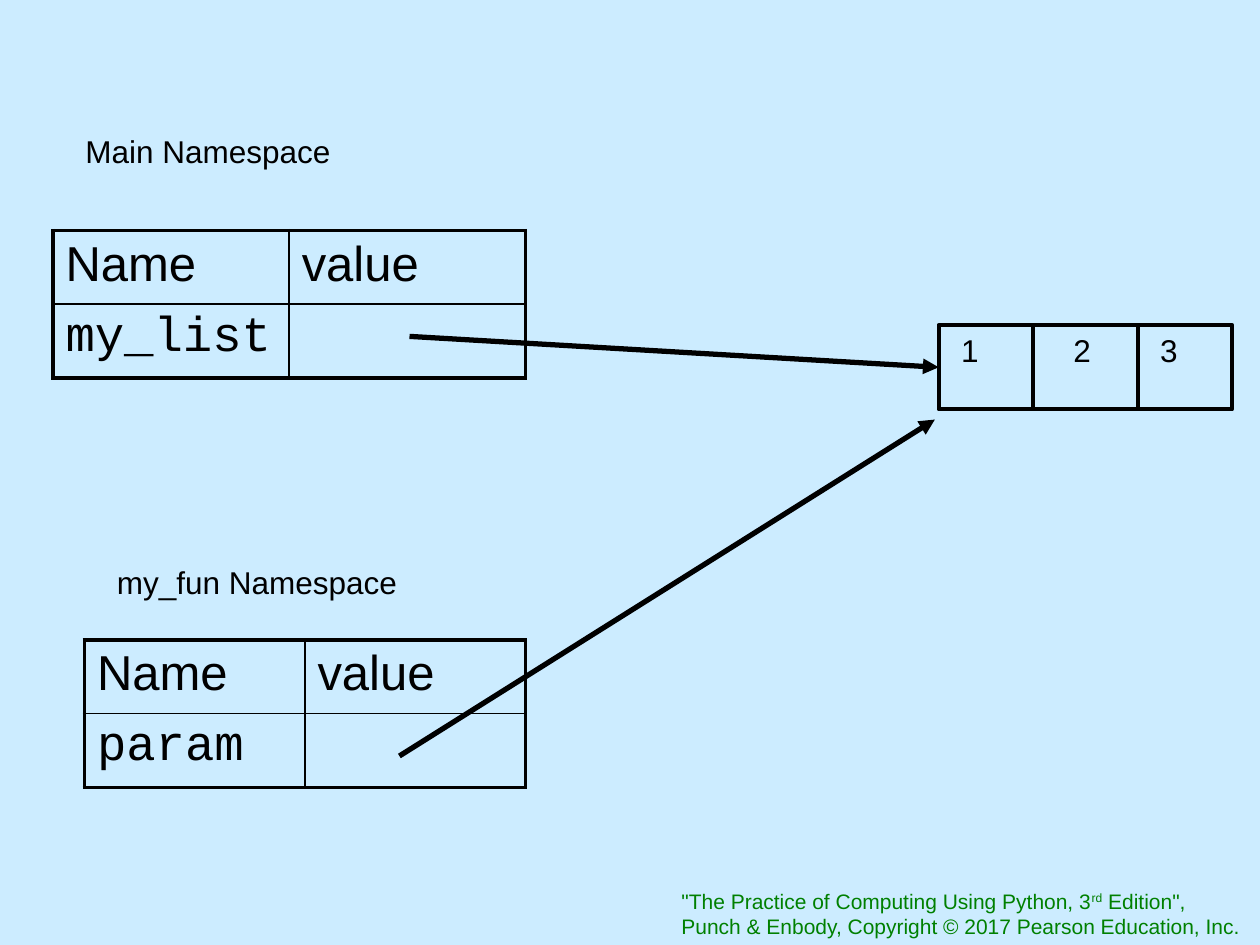
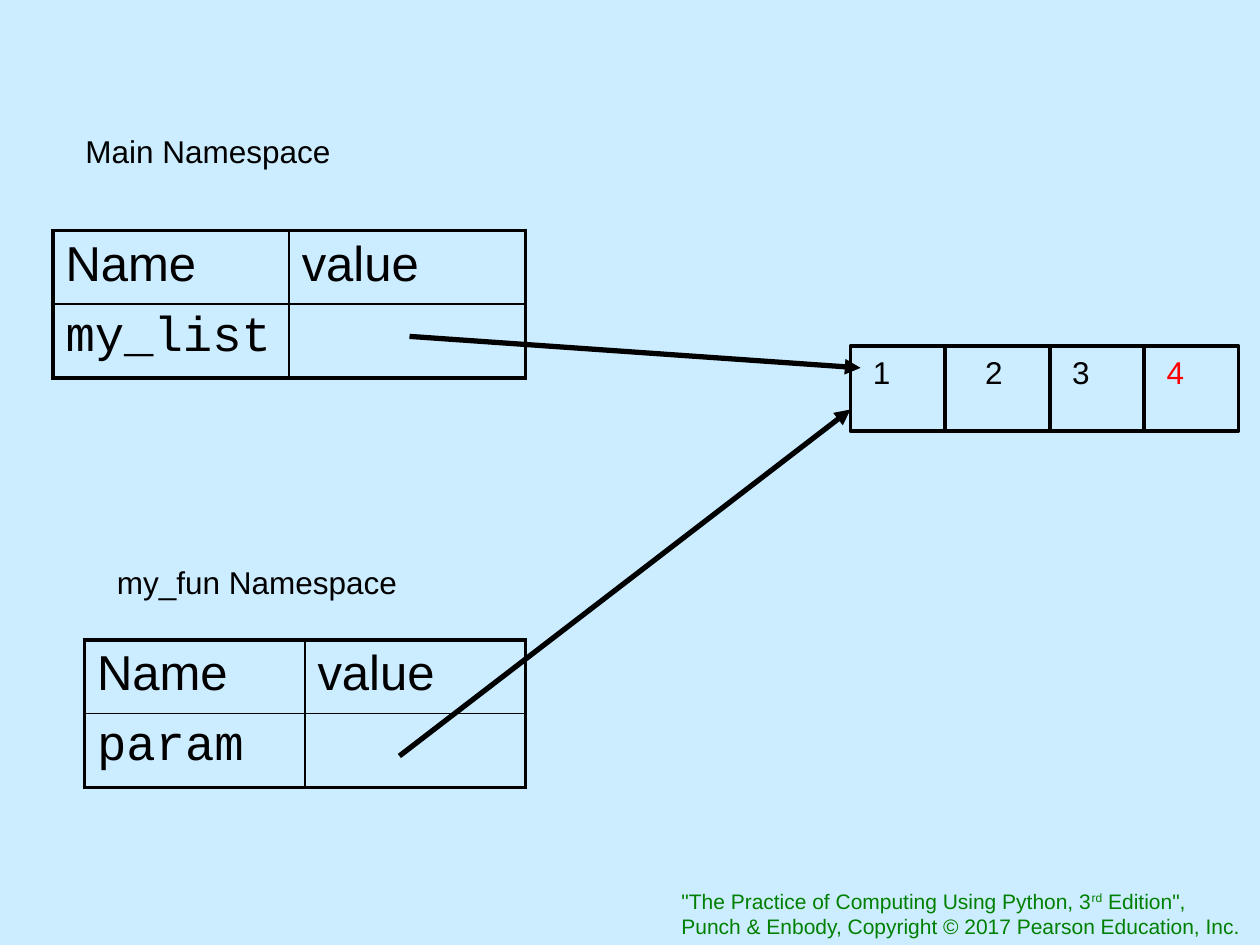
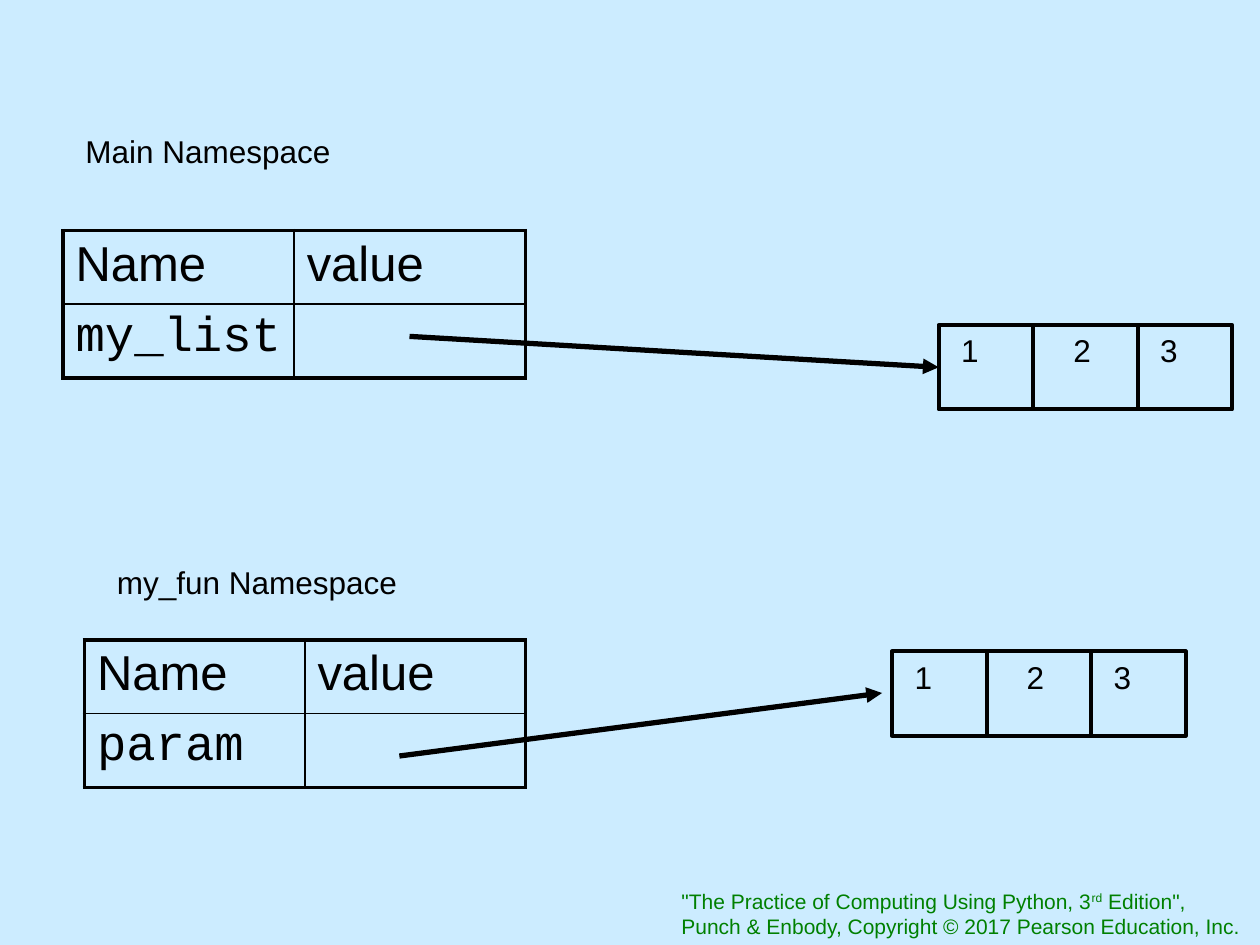
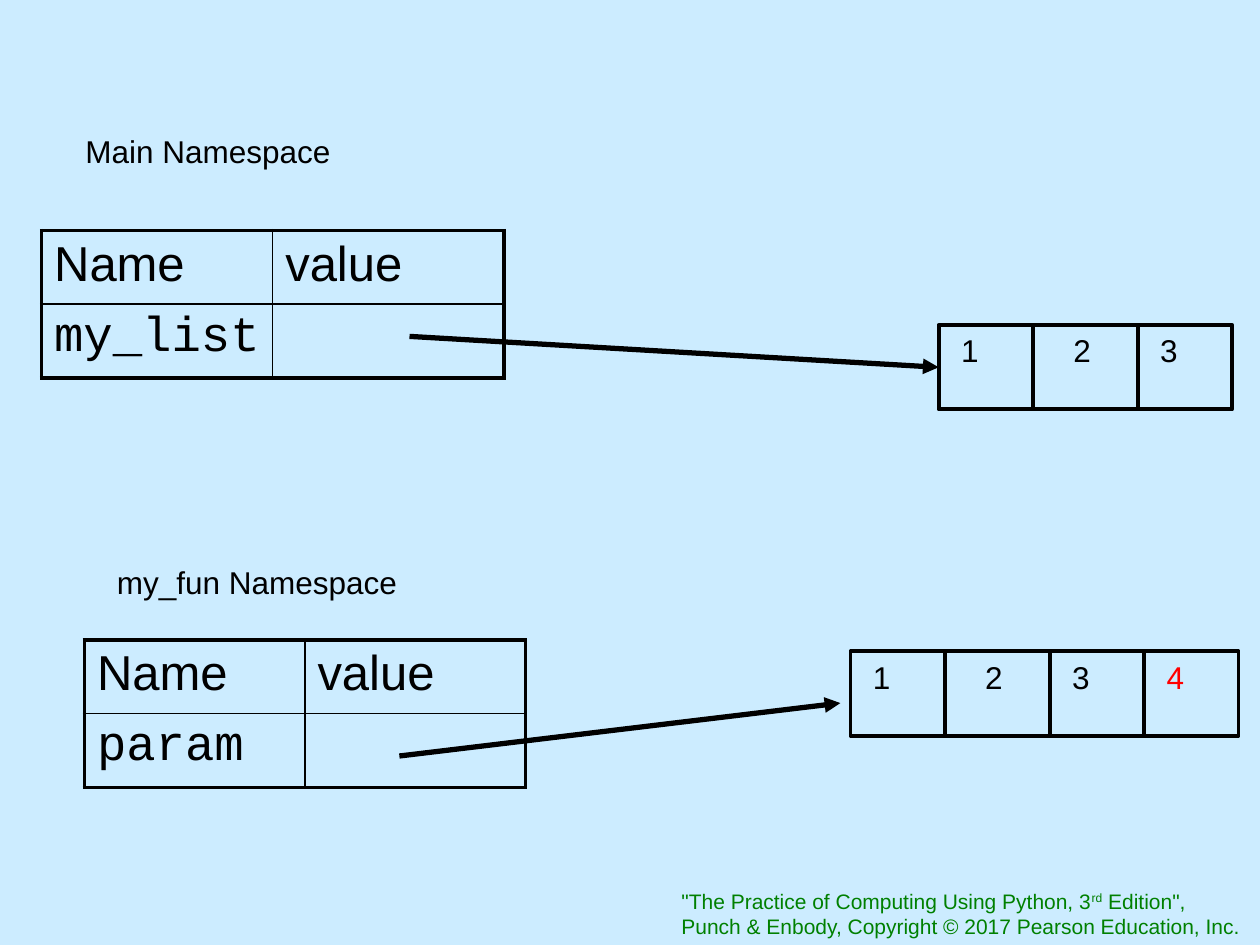
from typing import NamedTuple

from lxml import etree
from pptx import Presentation
from pptx.dml.color import RGBColor
from pptx.enum.shapes import MSO_CONNECTOR, MSO_SHAPE
from pptx.enum.text import MSO_AUTO_SIZE
from pptx.oxml.ns import qn
from pptx.util import Inches, Pt

STRAIGHT = MSO_CONNECTOR.STRAIGHT
RECTANGLE = MSO_SHAPE.RECTANGLE
GROW = MSO_AUTO_SIZE.SHAPE_TO_FIT_TEXT

SKY, INK, GREEN, RED = "CCECFF", "000000", "008000", "FF0000"
SANS, MONO = "Arial", "Courier New"
THICK, THIN, ARROW = 2.25, 1, 3
LEFT_SIDE = 1

# List boxes: width of each cell, and how far its value is set in
LIST_HEIGHT = 0.67
CELL_WIDTHS = (0.75, 0.83, 0.75, 0.75)
VALUE_INSETS = (0.08, 0.22, 0.08, 0.08)
TABLE_HEIGHT = 1.17


class Point(NamedTuple):
    x: float
    y: float


class Box(NamedTuple):
    left: float
    top: float
    width: float
    height: float


class Namespace(NamedTuple):
    label: str
    label_box: Box
    variable: str
    table_left: float
    table_top: float
    table_width: float
    arrow_start: Point


class ListBox(NamedTuple):
    left: float
    top: float
    values: str


class Scene(NamedTuple):
    main_left: float
    main_width: float
    lists: tuple[ListBox, ...]
    main_arrow_end: Point | None  # None: middle of the first list's left side
    param_arrow_end: Point


SHARED_LIST = ListBox(7.45, 2.58, "123")
SCENES = (
    Scene(0.42, 3.75, (SHARED_LIST,), None, Point(7.42, 3.33)),
    Scene(0.42, 3.75, (ListBox(6.75, 2.75, "1234"),), Point(6.83, 2.92), Point(6.75, 3.25)),
    Scene(0.5, 3.67, (SHARED_LIST, ListBox(7.08, 5.17, "123")), None, Point(7, 5.5)),
    Scene(0.33, 3.67, (SHARED_LIST, ListBox(6.75, 5.17, "1234")), None, Point(6.67, 5.58)),
)
MY_FUN = Namespace("my_fun Namespace", Box(0.83, 4.42, 2.45, 0.4), "param",
                   0.67, 5.08, 3.5, Point(3.17, 6))


def rgb(color: str) -> RGBColor:
    return RGBColor.from_string(color)


def inches(lengths) -> list[int]:
    return [Inches(length) for length in lengths]


def add_run(paragraph, text: str, *, size: float = 18, font: str = SANS,
            color: str = INK, baseline: int = 0) -> None:
    run = paragraph.add_run()
    run.text = text
    run.font.size = Pt(size)
    run.font.name = font
    run.font.color.rgb = rgb(color)
    if baseline:
        run.font._element.set("baseline", str(baseline * 1000))


def add_text_frame(slide, box: Box):
    """Add an unwrapped text box; return it for filling."""
    text_box = slide.shapes.add_textbox(*inches(box))
    text_box.text_frame.word_wrap = False
    text_box.text_frame.auto_size = GROW
    return text_box


def add_text(slide, box: Box, text: str, **text_format) -> None:
    add_run(add_text_frame(slide, box).text_frame.paragraphs[0], text, **text_format)


def add_line(slide, start: Point, end: Point, width: float, arrow: bool = False):
    line = slide.shapes.add_connector(STRAIGHT, *inches(start + end))
    line.line.color.rgb = rgb(INK)
    line.line.width = Pt(width)
    properties = line._element.spPr
    if arrow:
        etree.SubElement(properties.find(qn("a:ln")), qn("a:tailEnd"), type="triangle")
    etree.SubElement(properties, qn("a:effectLst"))
    return line


def set_borders(cell, widths: dict[str, float]) -> None:
    properties = cell._tc.get_or_add_tcPr()
    for side, width in widths.items():
        border = etree.SubElement(properties, qn(f"a:ln{side}"), w=str(Pt(width)))
        fill = etree.SubElement(border, qn("a:solidFill"))
        etree.SubElement(fill, qn("a:srgbClr"), val=INK)


def add_namespace(slide, namespace: Namespace) -> None:
    """Draw a label and its two-by-two table of names and values."""
    add_text(slide, namespace.label_box, namespace.label)
    frame = Box(namespace.table_left, namespace.table_top, namespace.table_width, TABLE_HEIGHT)
    table = slide.shapes.add_table(2, 2, *inches(frame)).table
    table.first_row = table.horz_banding = False
    rows = (("Name", "value"), (namespace.variable, ""))
    for r, row in enumerate(rows):
        for c, text in enumerate(row):
            cell = table.cell(r, c)
            if text:
                add_run(cell.text_frame.paragraphs[0], text, size=28, font=MONO if r else SANS)
            set_borders(cell, {
                "L": THIN if c else THICK,
                "R": THICK if c else THIN,
                "T": THIN if r else THICK,
                "B": THICK if r else THIN,
            })
            cell.fill.background()


def add_list(slide, list_box: ListBox):
    """Draw a list as a frame with dividers and values; return the frame."""
    left, top, values = list_box
    width = sum(CELL_WIDTHS[:len(values)])
    frame = slide.shapes.add_shape(RECTANGLE, *inches((left, top, width, LIST_HEIGHT)))
    frame.shadow.inherit = False
    frame.fill.background()
    frame.line.color.rgb = rgb(INK)
    frame.line.width = Pt(THICK)
    cell_left = left
    for i, (value, cell_width, inset) in enumerate(zip(values, CELL_WIDTHS, VALUE_INSETS)):
        if i:
            add_line(slide, Point(cell_left, top), Point(cell_left, top + LIST_HEIGHT), THICK)
        add_text(slide, Box(cell_left + inset, top, 0.45, 0.63), value,
                 color=RED if value == "4" else INK)
        cell_left += cell_width
    return frame


def add_scene(slide, scene: Scene) -> None:
    main = Namespace("Main Namespace", Box(0.58, 1, 3.65, 0.63), "my_list",
                     scene.main_left, 1.83, scene.main_width, Point(3.25, 2.67))
    frames = [add_list(slide, list_box) for list_box in scene.lists]
    for namespace in (main, MY_FUN):
        add_namespace(slide, namespace)

    # Arrows from the value cells to the lists
    first = scene.lists[0]
    end = scene.main_arrow_end or Point(first.left, first.top + LIST_HEIGHT / 2)
    main_arrow = add_line(slide, main.arrow_start, end, ARROW, arrow=True)
    if scene.main_arrow_end is None:
        main_arrow.end_connect(frames[0], LEFT_SIDE)
    add_line(slide, MY_FUN.arrow_start, scene.param_arrow_end, ARROW, arrow=True)


def add_master_footer(master, slide) -> None:
    """Build the copyright footer on a slide and move it to the master."""
    footer = add_text_frame(slide, Box(5.31, 7, 4.68, 0.5))
    style = {"size": 12, "color": GREEN}
    title = footer.text_frame.paragraphs[0]
    add_run(title, '"The Practice of Computing Using Python, 3', **style)
    add_run(title, "rd", baseline=30, **style)
    add_run(title, ' Edition",', **style)
    add_run(footer.text_frame.add_paragraph(),
            "Punch & Enbody, Copyright © 2017 Pearson Education, Inc.", **style)
    master.shapes._spTree.append(footer._element)


def main() -> None:
    prs = Presentation()
    prs.slide_width, prs.slide_height = Inches(10), Inches(7.5)
    background = prs.slide_master.background.fill
    background.solid()
    background.fore_color.rgb = rgb(SKY)

    blank = prs.slide_layouts[6]
    slides = [prs.slides.add_slide(blank) for _ in SCENES]
    add_master_footer(prs.slide_master, slides[0])
    for slide, scene in zip(slides, SCENES):
        add_scene(slide, scene)
    prs.save("out.pptx")


if __name__ == "__main__":
    main()
